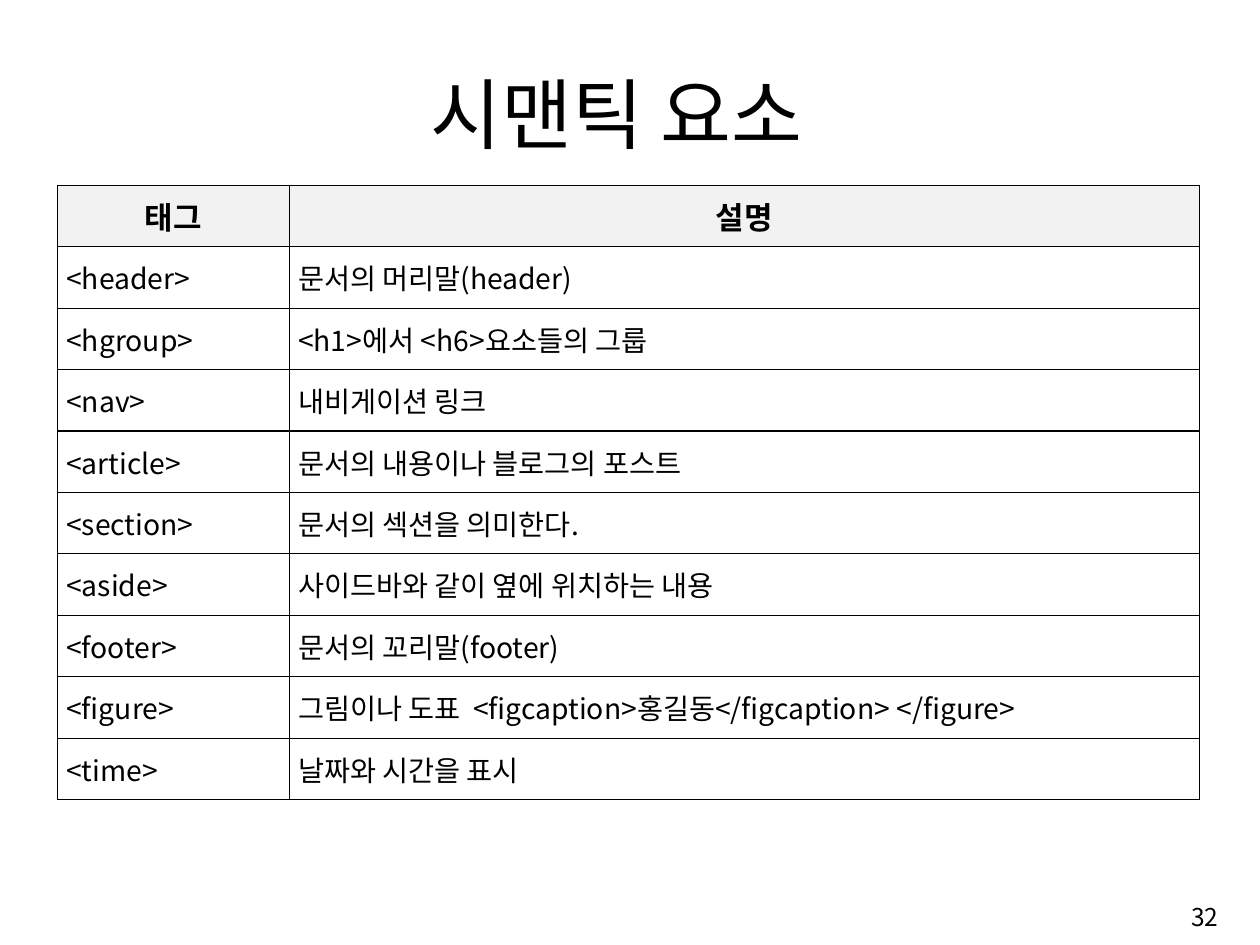
from lxml import etree
from pptx import Presentation
from pptx.dml.color import RGBColor
from pptx.enum.text import MSO_ANCHOR, MSO_AUTO_SIZE, PP_ALIGN
from pptx.oxml.ns import qn
from pptx.util import Pt

TITLE = "시맨틱 요소"
PAGE = "32"
ROWS = [
    ("태그", "설명"),
    ("<header>", "문서의 머리말(header)"),
    ("<hgroup>", "<h1>에서 <h6>요소들의 그룹"),
    ("<nav>", "내비게이션 링크"),
    ("<article>", "문서의 내용이나 블로그의 포스트"),
    ("<section>", "문서의 섹션을 의미한다."),
    ("<aside>", "사이드바와 같이 옆에 위치하는 내용"),
    ("<footer>", "문서의 꼬리말(footer)"),
    ("<figure>", "그림이나 도표  <figcaption>홍길동</figcaption> </figure>"),
    ("<time>", "날짜와 시간을 표시"),
]
COLS = (172.1, 675.6)
ROW_H = 45.6

FONT = "Noto Sans CJK KR"
BLACK = RGBColor(0, 0, 0)
GREY = RGBColor(0xF2, 0xF2, 0xF2)
LEFT, CENTER, RIGHT = PP_ALIGN.LEFT, PP_ALIGN.CENTER, PP_ALIGN.RIGHT
JUST = PP_ALIGN.JUSTIFY
MIDDLE, BOTTOM = MSO_ANCHOR.MIDDLE, MSO_ANCHOR.BOTTOM


def write(frame, text, size, align=LEFT, bold=False, anchor=MIDDLE):
    frame.word_wrap = True
    frame.vertical_anchor = anchor
    para = frame.paragraphs[0]
    para.alignment = align
    run = para.add_run()
    run.text = text
    font = run.font
    font.name, font.size, font.bold = FONT, Pt(size), bold
    font.color.rgb = BLACK
    east = etree.SubElement(font._element, qn("a:ea"))
    east.set("typeface", FONT)


def border(cell):
    props = cell._tc.get_or_add_tcPr()
    for side in ("lnL", "lnR", "lnT", "lnB"):
        line = etree.SubElement(props, qn("a:" + side), w=str(Pt(1)))
        fill = etree.SubElement(line, qn("a:solidFill"))
        etree.SubElement(fill, qn("a:srgbClr"), val=str(BLACK))


def add_grid(slide):
    shape = slide.shapes.add_table(
        len(ROWS), len(COLS), Pt(42.7), Pt(137.5),
        Pt(sum(COLS)), Pt(ROW_H * len(ROWS)))
    table = shape.table
    table.horz_banding = False
    for col, width in zip(table.columns, COLS):
        col.width = Pt(width)
    for r, texts in enumerate(ROWS):
        table.rows[r].height = Pt(ROW_H)
        head = r == 0
        for c, text in enumerate(texts):
            cell = table.cell(r, c)
            cell.margin_left = cell.margin_right = Pt(6.5)
            cell.margin_top = cell.margin_bottom = Pt(2.2)
            write(cell.text_frame, text, 23 if head else 21,
                  align=CENTER if head else JUST, bold=head)
            cell.vertical_anchor = MIDDLE
            border(cell)
            if head:
                cell.fill.solid()
                cell.fill.fore_color.rgb = GREY
            else:
                cell.fill.background()


def main():
    deck = Presentation()
    deck.slide_width, deck.slide_height = Pt(935.3), Pt(701.3)
    slide = deck.slides.add_slide(deck.slide_layouts[5])

    title = slide.shapes.title
    title.left, title.top = Pt(75.6), Pt(43.9)
    title.width, title.height = Pt(763.9), Pt(77.8)
    title.text_frame.auto_size = MSO_AUTO_SIZE.NONE
    write(title.text_frame, TITLE, 57.2, align=CENTER, anchor=BOTTOM)

    add_grid(slide)

    page = slide.shapes.add_textbox(Pt(718.6), Pt(658.8), Pt(193), Pt(43.2))
    write(page.text_frame, PAGE, 18.2, align=RIGHT)
    deck.save("out.pptx")


if __name__ == "__main__":
    main()
